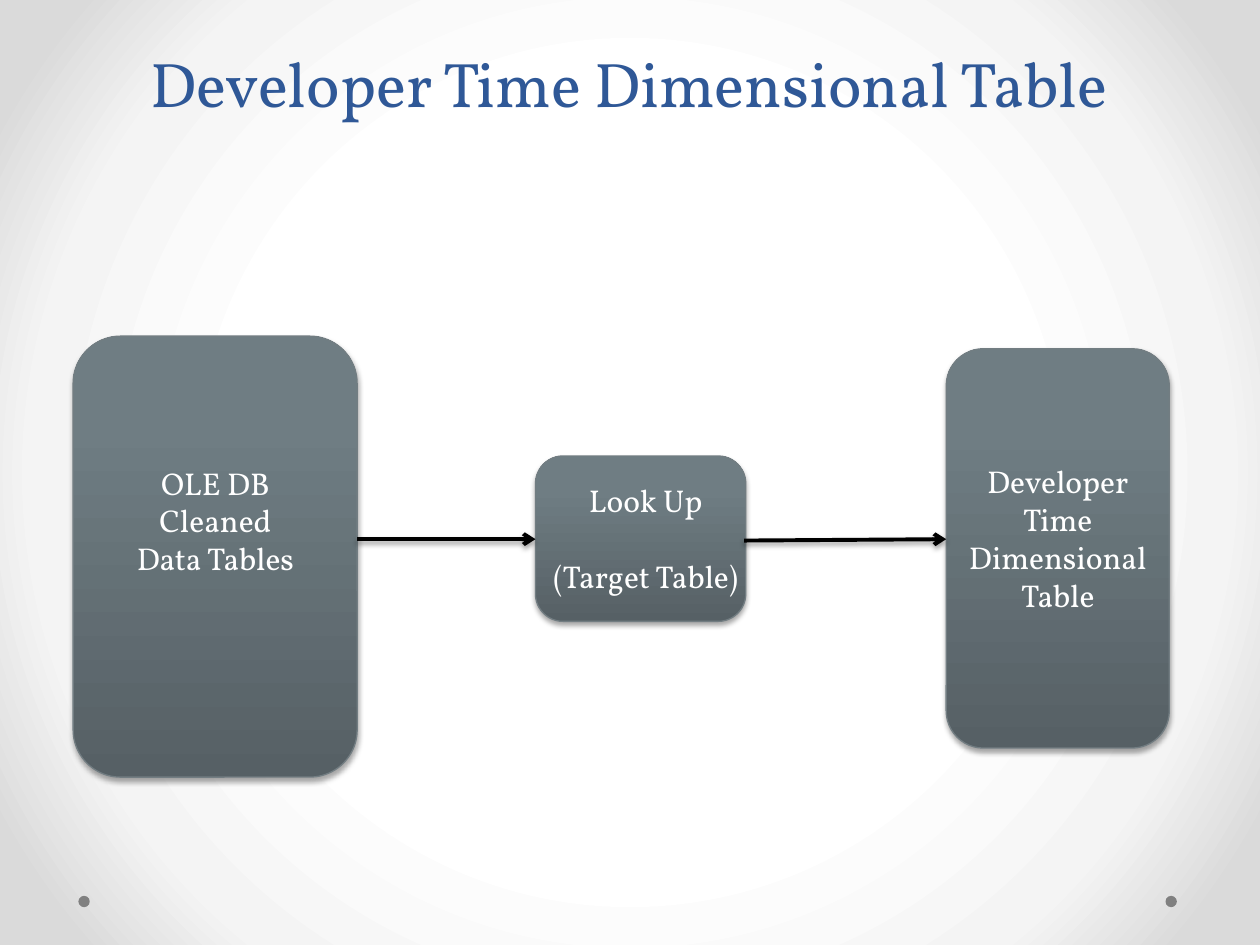
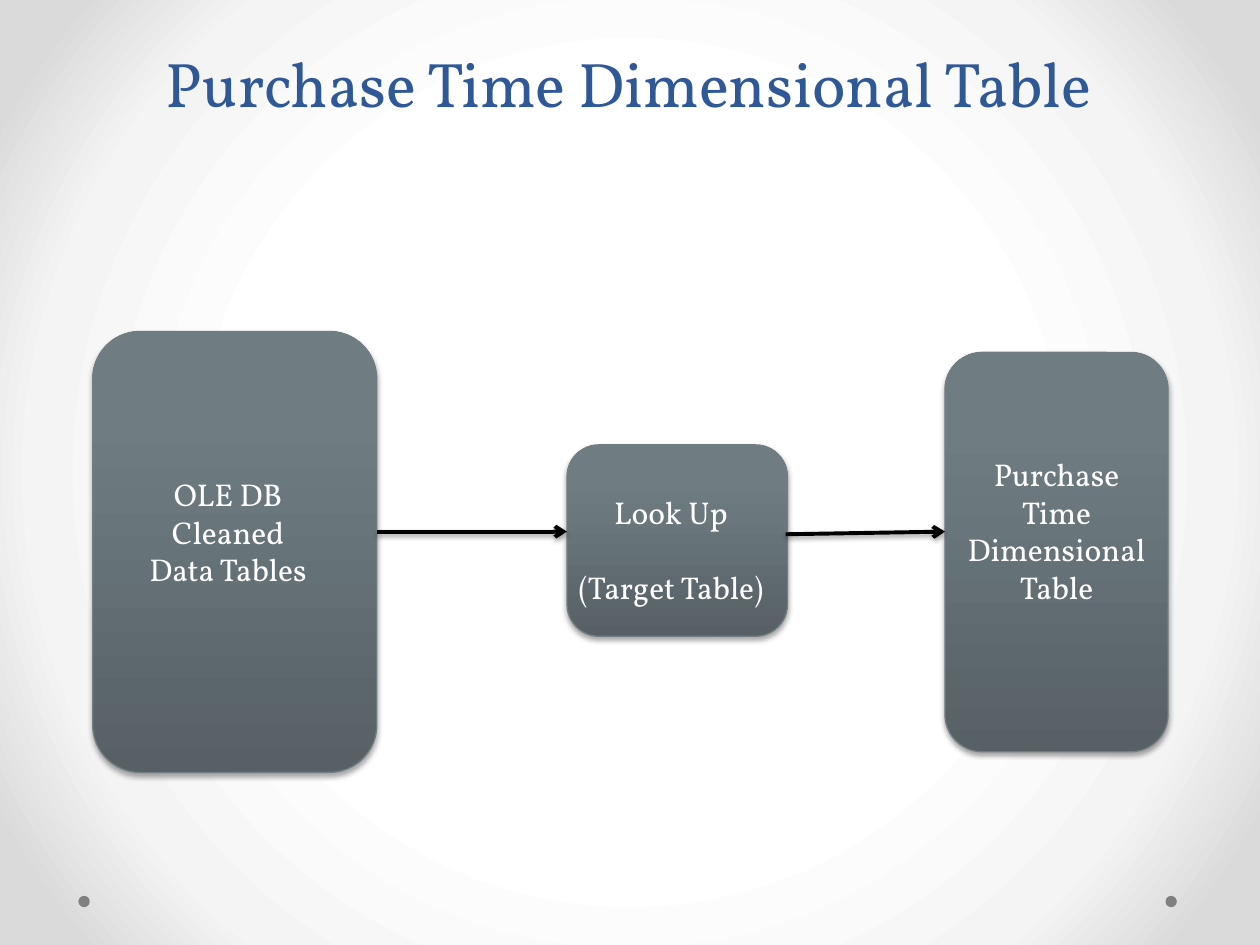
"""Build two slides that show how the time dimensional tables are loaded."""
from dataclasses import dataclass

from lxml import etree
from pptx import Presentation
from pptx.dml.color import RGBColor
from pptx.enum.shapes import MSO_CONNECTOR, MSO_SHAPE
from pptx.enum.text import MSO_ANCHOR, PP_ALIGN
from pptx.oxml import parse_xml
from pptx.oxml.ns import nsdecls, qn
from pptx.util import Pt

ELLIPSE = MSO_SHAPE.OVAL
ROUNDED = MSO_SHAPE.ROUNDED_RECTANGLE
STRAIGHT = MSO_CONNECTOR.STRAIGHT
CENTER = PP_ALIGN.CENTER
TOP, BOTTOM = MSO_ANCHOR.TOP, MSO_ANCHOR.BOTTOM

FONT = "Vollkorn"
COLORS = {
    "title": "2F5897",
    "text": "FFFFFF",
    "dot": "808080",
    "edge": "727D82",
    "arrow": "000000",
    "shadow": "000000",
}
PAGE_STOPS = [(50, "FFFFFF"), (76, "F4F4F4"), (92, "DADADA")]
BOX_STOPS = [(0, "566065"), (80, "6F7D83"), (100, "6F7E84")]
RADIAL = '<a:path path="circle"><a:fillToRect l="50000" t="50000" r="50000" b="50000"/></a:path>'
UPWARD = '<a:lin ang="16200000" scaled="0"/>'

DOT_SIZE = 6.5
DOT_TOP = 511.9
DOT_LEFTS = (44.8, 666)
LINE_PITCH = 21.7
ARROW_INSET = 1


@dataclass(frozen=True)
class Rect:
    left: float
    top: float
    width: float
    height: float

    @property
    def right(self) -> float:
        return self.left + self.width


@dataclass(frozen=True)
class Node:
    box: Rect
    label: Rect
    lines: tuple[str, ...]


@dataclass(frozen=True)
class Flow:
    title: str
    source: Node
    lookup: Node
    target: Node
    arrow_y: float
    lookup_exit_y: float


TITLE_RECT = Rect(35.3, 23.8, 648, 48.2)
SOURCE_LINES = ("OLE DB Cleaned Data Tables",)
LOOKUP_LINES = ("Look Up", "(Target Table)")


def make_flow(subject: str, source: tuple[Rect, Rect], lookup: tuple[Rect, Rect],
              target: tuple[Rect, Rect], arrow_y: float, lookup_exit_y: float) -> Flow:
    """Describe one slide, whose title also names its target table."""
    title = f"{subject} Time Dimensional Table"
    return Flow(title, Node(*source, SOURCE_LINES), Node(*lookup, LOOKUP_LINES),
                Node(*target, (title,)), arrow_y, lookup_exit_y)


FLOWS = [
    make_flow(
        "Developer",
        source=(Rect(41.8, 192.1, 162.3, 252), Rect(69.1, 261.4, 108, 72.7)),
        lookup=(Rect(306, 260.6, 120.2, 94.5), Rect(306, 271.4, 126, 72.7)),
        target=(Rect(540.7, 199.3, 127.5, 228.2), Rect(540.7, 260.6, 127.5, 94.3)),
        arrow_y=308.1,
        lookup_exit_y=308.9,
    ),
    make_flow(
        "Purchase",
        source=(Rect(53, 189.4, 162.3, 252), Rect(76.3, 267.8, 108, 72.7)),
        lookup=(Rect(324, 254.2, 126, 109.4), Rect(317.5, 278, 131.8, 72.7)),
        target=(Rect(540, 201.4, 127.5, 228.2), Rect(540, 256.3, 127.5, 94.3)),
        arrow_y=303.8,
        lookup_exit_y=305.3,
    ),
]


def rgb(name: str) -> RGBColor:
    """Return a named colour."""
    return RGBColor.from_string(COLORS[name])


def set_gradient(parent, stops: list[tuple[int, str]], direction: str) -> None:
    """Replace the solid fill in parent with a gradient."""
    gs = "".join(f'<a:gs pos="{pos * 1000}"><a:srgbClr val="{color}"/></a:gs>'
                 for pos, color in stops)
    grad = parse_xml(f'<a:gradFill {nsdecls("a")} rotWithShape="1">'
                     f"<a:gsLst>{gs}</a:gsLst>{direction}</a:gradFill>")
    parent.replace(parent.find(qn("a:solidFill")), grad)


def add_shadow(sp, opacity: int, distance: float) -> None:
    """Give a shape or connector a soft shadow below it."""
    effects = etree.SubElement(sp.element.spPr, qn("a:effectLst"))
    shadow = etree.SubElement(effects, qn("a:outerShdw"), blurRad=str(Pt(3.1)),
                              dist=str(Pt(distance)), dir="5400000", rotWithShape="0")
    color = etree.SubElement(shadow, qn("a:srgbClr"), val=COLORS["shadow"])
    etree.SubElement(color, qn("a:alpha"), val=str(opacity * 1000))


def bounds(rect: Rect) -> tuple[Pt, Pt, Pt, Pt]:
    """Convert a rectangle to lengths."""
    return Pt(rect.left), Pt(rect.top), Pt(rect.width), Pt(rect.height)


def add_text(slide, rect: Rect, lines: tuple[str, ...], size: float, color: str,
             anchor=TOP, spacing: float | None = None) -> None:
    """Add centred text, with one line of space between paragraphs."""
    tf = slide.shapes.add_textbox(*bounds(rect)).text_frame
    tf.word_wrap = True
    tf.vertical_anchor = anchor
    for i, line in enumerate(lines):
        p = tf.add_paragraph() if i else tf.paragraphs[0]
        p.text = line
        p.alignment = CENTER
        p.font.name = FONT
        p.font.size = Pt(size)
        p.font.color.rgb = rgb(color)
        if spacing:
            p.line_spacing = Pt(spacing)
        if i:
            p.space_before = Pt(LINE_PITCH)


def add_dot(slide, left: float) -> None:
    """Add a footer dot."""
    sp = slide.shapes.add_shape(ELLIPSE, *bounds(Rect(left, DOT_TOP, DOT_SIZE, DOT_SIZE)))
    sp.shadow.inherit = False
    sp.fill.solid()
    sp.fill.fore_color.rgb = rgb("dot")
    sp.line.fill.background()


def add_node(slide, node: Node) -> None:
    """Add a rounded box and its label."""
    sp = slide.shapes.add_shape(ROUNDED, *bounds(node.box))
    sp.fill.solid()
    set_gradient(sp.element.spPr, BOX_STOPS, UPWARD)
    sp.line.color.rgb = rgb("edge")
    sp.line.width = Pt(0.75)
    add_shadow(sp, opacity=35, distance=1.8)
    add_text(slide, node.label, node.lines, 18, "text")


def add_arrow(slide, x1: float, y1: float, x2: float, y2: float) -> None:
    """Add an arrow from the first point to the second."""
    sp = slide.shapes.add_connector(STRAIGHT, Pt(x1), Pt(y1), Pt(x2), Pt(y2))
    sp.line.color.rgb = rgb("arrow")
    sp.line.width = Pt(2.25)
    etree.SubElement(sp.element.spPr.find(qn("a:ln")), qn("a:tailEnd"), type="arrow")
    add_shadow(sp, opacity=38, distance=1.6)


def add_flow_slide(prs, flow: Flow) -> None:
    """Add one slide with its title, boxes and arrows."""
    slide = prs.slides.add_slide(prs.slide_layouts[6])
    for left in DOT_LEFTS:
        add_dot(slide, left)
    add_text(slide, TITLE_RECT, (flow.title,), 36, "title", BOTTOM, 58)
    for node in (flow.source, flow.target, flow.lookup):
        add_node(slide, node)
    lookup = flow.lookup.box
    add_arrow(slide, flow.source.box.right, flow.arrow_y, lookup.left, flow.arrow_y)
    add_arrow(slide, lookup.right - ARROW_INSET, flow.lookup_exit_y,
              flow.target.box.left, flow.arrow_y)


def main() -> None:
    """Build and save the presentation."""
    prs = Presentation()
    prs.slide_width, prs.slide_height = Pt(720), Pt(540)
    master = prs.slide_master
    master.background.fill.solid()
    set_gradient(next(master.element.iter(qn("p:bgPr"))), PAGE_STOPS, RADIAL)
    for flow in FLOWS:
        add_flow_slide(prs, flow)
    prs.save("out.pptx")


if __name__ == "__main__":
    main()
